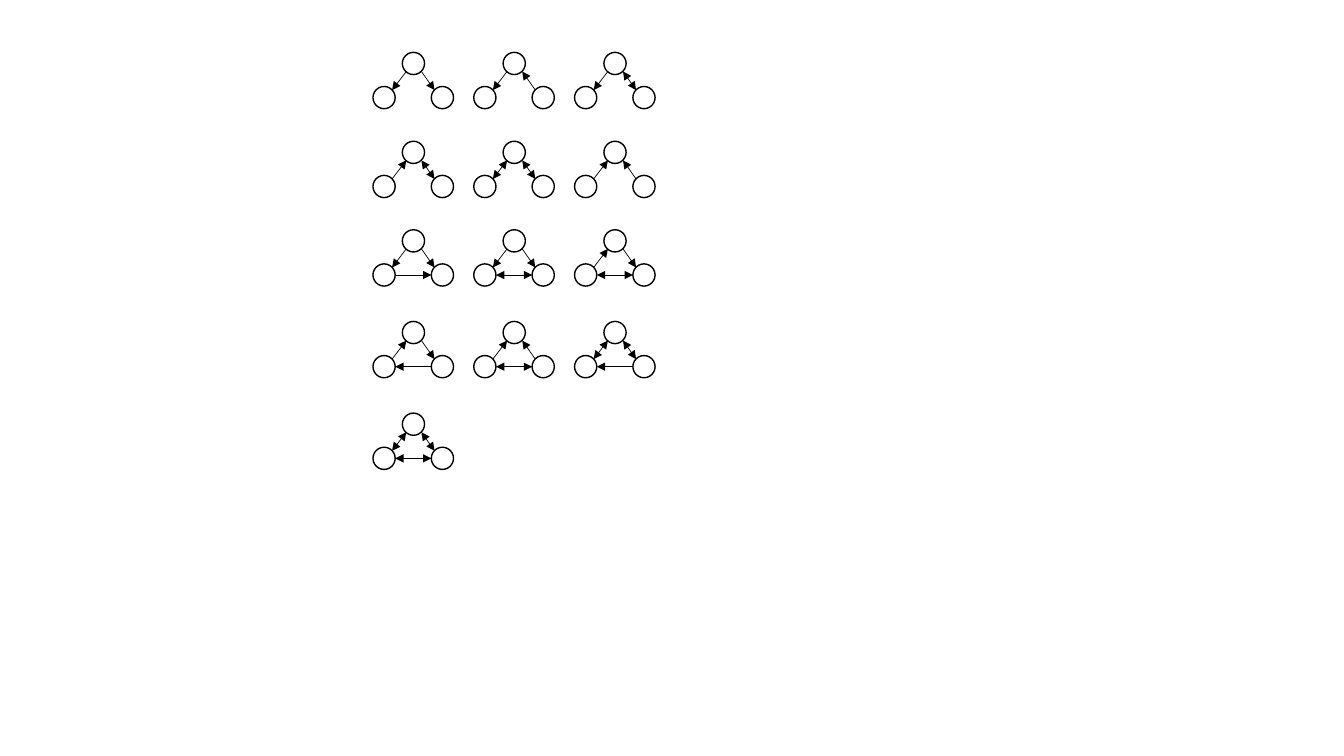
from lxml import etree
from pptx import Presentation
from pptx.dml.color import RGBColor
from pptx.enum.shapes import MSO_CONNECTOR, MSO_SHAPE
from pptx.oxml.ns import qn
from pptx.util import Cm, Pt

OVAL = MSO_SHAPE.OVAL
STRAIGHT = MSO_CONNECTOR.STRAIGHT
BLACK = RGBColor(0x00, 0x00, 0x00)

START, END = ("headEnd",), ("tailEnd",)
BOTH = START + END

MOTIF_ROWS = [
    [(START, START), (START, END), (START, BOTH)],
    [(END, BOTH), (BOTH, BOTH), (END, END)],
    [(START, START, START), (START, START, BOTH), (END, START, BOTH)],
    [(END, START, END), (END, END, BOTH), (BOTH, BOTH, END)],
    [(BOTH, BOTH, BOTH)],
]

LEFT = 9.4
COLUMN_PITCH = 2.54
ROW_TOPS = [1.32, 3.56, 5.79, 8.1, 10.41]
DIAMETER = 0.56
NODES = [(0, 0.86), (0.74, 0), (1.47, 0.86)]
EDGES = [
    (0.48, 0.95, 0.84, 0.48),
    (1.55, 0.95, 1.22, 0.48),
    (1.47, 1.14, 0.56, 1.14),
]


def set_line(shape, width):
    shape.line.color.rgb = BLACK
    shape.line.width = Pt(width)


def add_node(shapes, x, y):
    node = shapes.add_shape(OVAL, Cm(x), Cm(y), Cm(DIAMETER), Cm(DIAMETER))
    node.shadow.inherit = False
    node.fill.background()
    set_line(node, 1)


def add_arrow(shapes, x, y, edge, arrowheads):
    x1, y1, x2, y2 = edge
    arrow = shapes.add_connector(
        STRAIGHT, Cm(x + x1), Cm(y + y1), Cm(x + x2), Cm(y + y2)
    )
    set_line(arrow, 0.5)
    properties = arrow.element.spPr
    line = properties.find(qn("a:ln"))
    for arrowhead in arrowheads:
        etree.SubElement(line, qn(f"a:{arrowhead}"), type="triangle")
    etree.SubElement(properties, qn("a:effectLst"))


def add_motif(slide, x, y, motif):
    shapes = slide.shapes.add_group_shape().shapes
    for node_x, node_y in NODES:
        add_node(shapes, x + node_x, y + node_y)
    for edge, arrowheads in zip(EDGES, motif):
        add_arrow(shapes, x, y, edge, arrowheads)


def main():
    presentation = Presentation()
    presentation.slide_width = Cm(33.87)
    presentation.slide_height = Cm(19.05)
    slide = presentation.slides.add_slide(presentation.slide_layouts[6])
    for top, motifs in zip(ROW_TOPS, MOTIF_ROWS):
        for column, motif in enumerate(motifs):
            add_motif(slide, LEFT + column * COLUMN_PITCH, top, motif)
    presentation.save("out.pptx")


if __name__ == "__main__":
    main()
